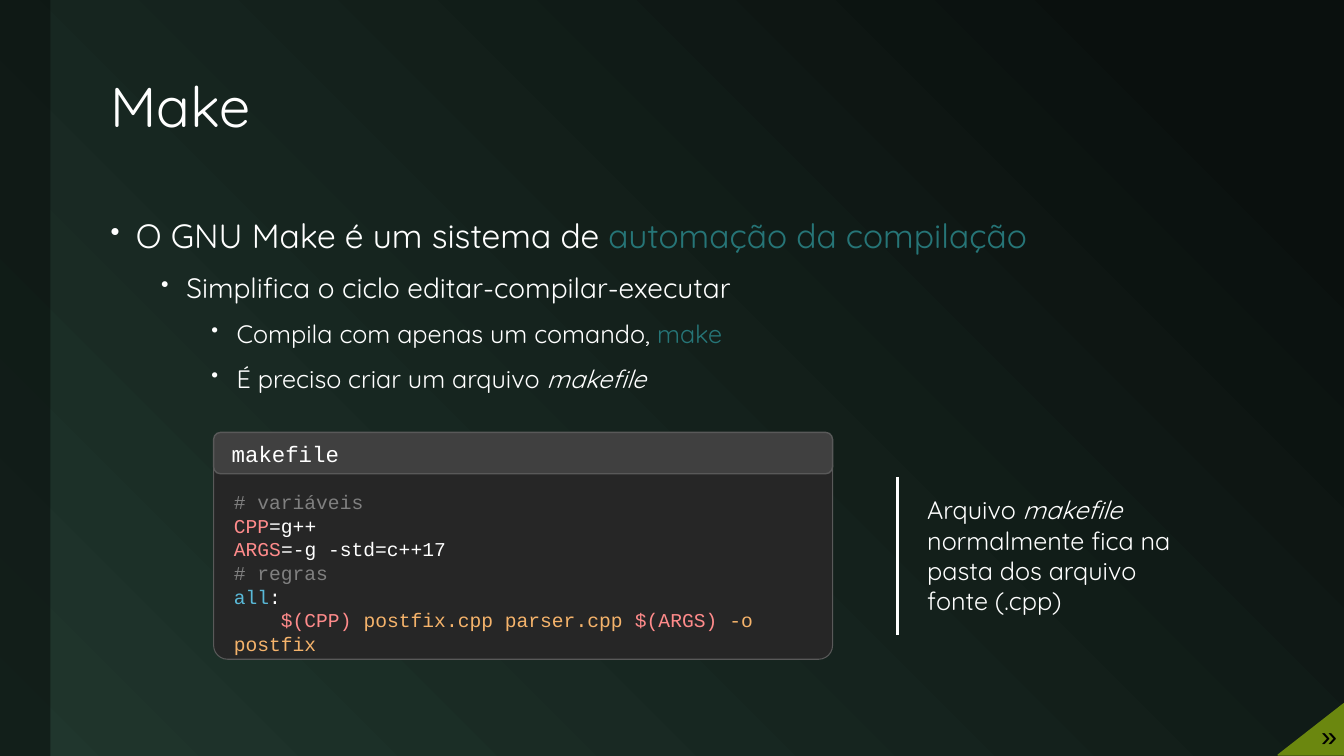
"""Build the slide that introduces Make and its makefile."""
from lxml.etree import SubElement
from pptx import Presentation
from pptx.dml.color import RGBColor
from pptx.enum.shapes import MSO_CONNECTOR, MSO_SHAPE
from pptx.enum.text import MSO_ANCHOR, PP_ALIGN
from pptx.oxml.ns import qn
from pptx.util import Inches, Pt

THEME = {
    "night": "0A100E", "forest": "20362D", "white": "FFFFFF", "black": "000000",
    "teal": "267577", "panel": "262626", "header": "404040", "border": "595959",
    "comment": "808080", "variable": "FF8B8B", "target": "59B9D8",
    "command": "F5B36B", "olive": "6B870F",
    "text": "Quicksand", "code": "Courier New",
    "title": 40, "levels": (24, 20, 18), "note": 18,
    "file name": 16, "listing": 14, "arrow": 20,
}

presentation = Presentation()
presentation.slide_width = Inches(13.33)
presentation.slide_height = Inches(7.5)
slide = presentation.slides.add_slide(presentation.slide_layouts[6])
shapes = slide.shapes
column = presentation.slide_width / 100
row = presentation.slide_height / 100


def grid(left, top, width, height):
    """Turn hundredths of the slide into a place and a size."""
    return [round(length) for length in (left * column, top * row, width * column, height * row)]


def write(shape, paragraphs, size, font, **frame_format):
    """Fill a shape with paragraphs of (text, colour, italic) runs."""
    frame = shape.text_frame
    frame.word_wrap = True
    for name, value in frame_format.items():
        setattr(frame, name, value)
    for index, runs in enumerate(paragraphs):
        paragraph = frame.add_paragraph() if index else frame.paragraphs[0]
        paragraph.alignment = PP_ALIGN.LEFT
        for text, colour, *italic in runs:
            run = paragraph.add_run()
            run.text = text
            values = {"size": Pt(size), "name": font, "italic": bool(italic)}
            for name, value in values.items():
                setattr(run.font, name, value)
            run.font.color.rgb = RGBColor.from_string(THEME[colour])
    return frame.paragraphs


background = slide.background.fill
background.gradient()
background.gradient_angle = 225
for stop, position, colour in zip(background.gradient_stops, (0.1, 1), ("night", "forest")):
    stop.position = position
    stop.color.rgb = RGBColor.from_string(THEME[colour])

corner = shapes.build_freeform(round(95.1 * column), round(99.87 * row), scale=1.0)
corner.add_line_segments([(round(100 * column), round(y * row)) for y in (93.07, 99.87)], close=True)

sidebar = shapes.add_shape(MSO_SHAPE.RECTANGLE, *grid(0, 0, 3.75, 100))
listing = shapes.add_shape(MSO_SHAPE.ROUNDED_RECTANGLE, *grid(15.9, 59.73, 46.05, 27.47))
listing.adjustments[0] = 0.067
file_header = shapes.add_shape(MSO_SHAPE.ROUNDED_RECTANGLE, *grid(15.9, 57.2, 46.05, 5.47))
triangle = corner.convert_to_shape()
for shape, fill, line, weight in (
    (sidebar, "night", None, 0),
    (listing, "panel", "border", 0.75),
    (file_header, "header", "border", 1),
    (triangle, "olive", "olive", 1),
):
    shape.shadow.inherit = False
    shape.fill.solid()
    shape.fill.fore_color.rgb = RGBColor.from_string(THEME[fill])
    if line:
        shape.line.color.rgb = RGBColor.from_string(THEME[line])
        shape.line.width = Pt(weight)
    else:
        shape.line.fill.background()
sidebar_colour = sidebar.fill._xPr.find(qn("a:solidFill"))[0]
SubElement(sidebar_colour, qn("a:alpha"), val="60000")

title = shapes.add_textbox(*grid(7.5, 5.6, 87.4, 17.73))
title_lines = write(title, [[("Make", "white")]], THEME["title"], THEME["text"],
                    vertical_anchor=MSO_ANCHOR.MIDDLE)
title_lines[0].line_spacing = 0.9

points = [
    (0, [("O GNU Make é um sistema de ", "white"), ("automação da compilação", "teal")]),
    (1, [("Simplifica o ciclo editar-compilar-executar", "white")]),
    (2, [("Compila com apenas um comando, ", "white"), ("make", "teal")]),
    (2, [("É preciso criar um arquivo ", "white"), ("makefile", "white", True)]),
]
body = shapes.add_textbox(*grid(7.5, 26.67, 87.4, 64.4))
body_lines = write(body, [runs for level, runs in points], THEME["note"], THEME["text"])
for index, (paragraph, (level, runs)) in enumerate(zip(body_lines, points)):
    paragraph.level = level
    paragraph.line_spacing = 1.2
    paragraph.space_before = Pt(6 if index else 0)
    properties = paragraph._p.get_or_add_pPr()
    properties.set("marL", str(Inches(0.25 + 0.5 * level)))
    properties.set("indent", str(Inches(-0.25)))
    SubElement(properties, qn("a:buSzPct"), val="80000")
    SubElement(properties, qn("a:buChar"), char="•")
    for run in paragraph.runs:
        run.font.size = Pt(THEME["levels"][level])

code = [
    [("# variáveis", "comment")],
    [("CPP", "variable"), ("=g++", "white")],
    [("ARGS", "variable"), ("=-g -std=c++17", "white")],
    [("# regras", "comment")],
    [("all", "target"), (":", "white")],
    [("    $(CPP) ", "variable"), ("postfix.cpp parser.cpp ", "command"),
     ("$(ARGS) ", "variable"), ("-o postfix", "command")],
]
code_lines = write(listing, code, THEME["listing"], THEME["code"], vertical_anchor=MSO_ANCHOR.TOP,
                   margin_left=Inches(0.16), margin_top=Inches(0.34))
for paragraph in code_lines:
    paragraph.line_spacing = Pt(16.9)
write(file_header, [[("makefile", "white")]], THEME["file name"], THEME["code"],
      vertical_anchor=MSO_ANCHOR.MIDDLE, margin_left=Inches(0.16))

note = shapes.add_textbox(*grid(68.25, 64.8, 21.83, 17.47))
write(note, [[("Arquivo ", "white"), ("makefile", "white", True),
              (" normalmente fica na pasta dos arquivo fonte (.cpp)", "white")]],
      THEME["note"], THEME["text"])
left, top, width, height = grid(66.77, 63.07, 0, 20.93)
note_rule = shapes.add_connector(MSO_CONNECTOR.STRAIGHT, left, top, left + width, top + height)
note_rule.line.color.rgb = RGBColor.from_string(THEME["white"])
note_rule.line.width = Pt(2.25)
SubElement(note_rule._element.spPr, qn("a:effectLst"))

arrow = shapes.add_textbox(*grid(97, 94.4, 3, 5.6))
write(arrow, [[("»", "black")]], THEME["arrow"], THEME["code"],
      word_wrap=False, margin_left=Inches(0.17), margin_right=0)

presentation.save("out.pptx")
